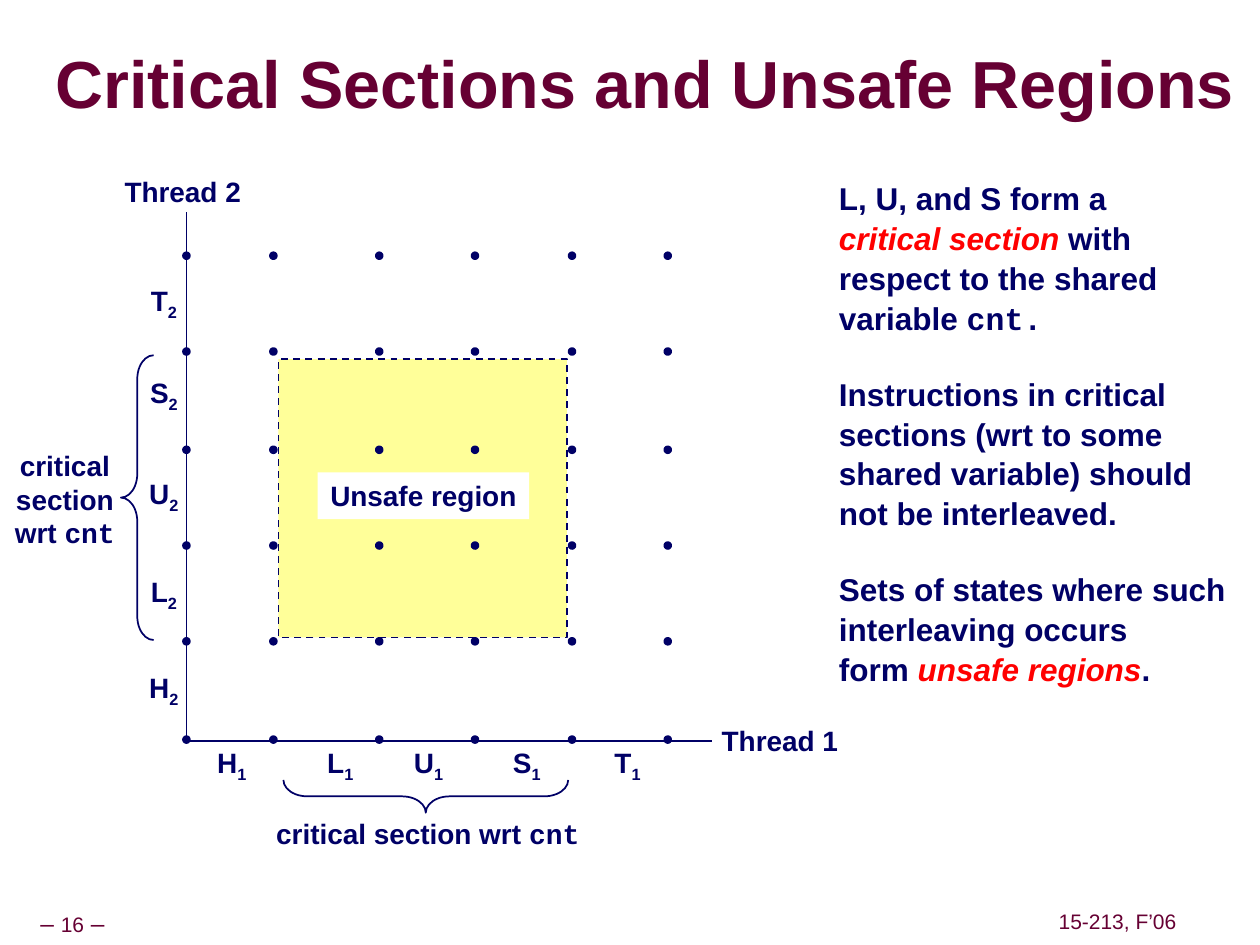
from lxml import etree
from pptx import Presentation
from pptx.dml.color import RGBColor
from pptx.enum.dml import MSO_LINE
from pptx.enum.shapes import MSO_CONNECTOR, MSO_SHAPE
from pptx.enum.text import MSO_ANCHOR, MSO_AUTO_SIZE, PP_ALIGN
from pptx.oxml.ns import qn
from pptx.util import Inches, Pt

NAVY = RGBColor(0x00, 0x00, 0x66)
MAROON = RGBColor(0x66, 0x00, 0x33)
RED = RGBColor(0xFF, 0x00, 0x00)
YELLOW = RGBColor(0xFF, 0xFF, 0x99)
WHITE = RGBColor(0xFF, 0xFF, 0xFF)

LEFT, CENTER = PP_ALIGN.LEFT, PP_ALIGN.CENTER
TOP, MIDDLE = MSO_ANCHOR.TOP, MSO_ANCHOR.MIDDLE
RECTANGLE, OVAL, LEFT_BRACE = MSO_SHAPE.RECTANGLE, MSO_SHAPE.OVAL, MSO_SHAPE.LEFT_BRACE
DASH = MSO_LINE.DASH
STRAIGHT = MSO_CONNECTOR.STRAIGHT

LABEL = {"name": "Arial", "size": Pt(16), "bold": True, "color": NAVY}
BODY = {**LABEL, "size": Pt(18)}
FOOTER = {"name": "Arial", "size": Pt(12), "color": MAROON}
TITLE = {**LABEL, "size": Pt(38), "color": MAROON}
CODE = {"name": "Courier New"}
KEY_TERM = {"color": RED, "italic": True}
SUBSCRIPT = {"baseline": "-25000"}

DOT_COLUMNS = [1.46, 2.15, 2.99, 3.75, 4.52, 5.28]
DOT_ROWS = [2.01, 2.77, 3.55, 4.31, 5.07, 5.85]
THREAD_1_STEPS = {"H": 1.63, "L": 2.49, "U": 3.19, "S": 3.97, "T": 4.77}
THREAD_2_STEPS = {"H": 5.27, "L": 4.51, "U": 3.73, "S": 2.93, "T": 2.2}

CRITICAL_SECTION = [("critical section wrt ", {}), ("cnt", CODE)]
EXPLANATION = [
    [
        [("L, U, and S form a", {})],
        [("critical section ", KEY_TERM), ("with", {})],
        [("respect to the shared", {})],
        [("variable ", {}), ("cnt.", CODE)],
    ],
    [
        [("Instructions in critical", {})],
        [("sections (wrt to some", {})],
        [("shared variable) should", {})],
        [("not be interleaved.", {})],
    ],
    [
        [("Sets of states where such", {})],
        [("interleaving occurs", {})],
        [("form ", {}), ("unsafe regions", KEY_TERM), (".", {})],
    ],
]


class SlideBuilder:
    def __init__(self, slide, line_color):
        self.slide = slide
        self.shapes = slide.shapes
        self.line_color = line_color

    def add_runs(self, paragraph, runs, style):
        for text, changes in runs:
            run = paragraph.add_run()
            run.text = text
            for key, value in {**style, **changes}.items():
                if key == "color":
                    run.font.color.rgb = value
                elif key == "baseline":
                    run._r.get_or_add_rPr().set(key, value)
                else:
                    setattr(run.font, key, value)

    def set_frame(self, shape, margins, anchor=MIDDLE, wrap=False):
        frame = shape.text_frame
        horizontal, vertical = (Inches(margin) for margin in margins)
        values = {
            "margin_left": horizontal, "margin_right": horizontal,
            "margin_top": vertical, "margin_bottom": vertical,
            "vertical_anchor": anchor, "word_wrap": wrap,
            "auto_size": MSO_AUTO_SIZE.NONE,
        }
        for key, value in values.items():
            setattr(frame, key, value)
        return frame

    def title(self, text, box):
        shape = self.shapes.title
        shape.left, shape.top, shape.width, shape.height = map(Inches, box)
        paragraph = self.set_frame(shape, (0, 0), wrap=True).paragraphs[0]
        paragraph.alignment = LEFT
        paragraph.line_spacing = 0.87
        self.add_runs(paragraph, [(text, {})], TITLE)

    def text(self, runs, box, style=LABEL, margins=(0.1, 0.05), wrap=False):
        shape = self.shapes.add_textbox(*map(Inches, box))
        paragraph = self.set_frame(shape, margins, wrap=wrap).paragraphs[0]
        paragraph.alignment = CENTER
        self.add_runs(paragraph, runs, style)
        return shape

    def explanation(self, groups, box):
        shape = self.shapes.add_textbox(*map(Inches, box))
        frame = self.set_frame(shape, (0.1, 0), anchor=TOP)
        paragraph = None
        for group in groups:
            for index, runs in enumerate(group):
                starts_group = paragraph is not None and index == 0
                paragraph = frame.add_paragraph() if paragraph else frame.paragraphs[0]
                paragraph.line_spacing = 1.05
                if starts_group:
                    paragraph.space_before = Pt(21)
                self.add_runs(paragraph, runs, BODY)

    def shape(self, kind, box, fill=None, line_width=1):
        shape = self.shapes.add_shape(kind, *map(Inches, box))
        shape.shadow.inherit = False
        if fill is None:
            shape.fill.background()
        else:
            shape.fill.solid()
            shape.fill.fore_color.rgb = fill
        shape.line.color.rgb = self.line_color
        shape.line.width = Pt(line_width)
        return shape

    def brace(self, box, rotation=0):
        brace = self.shape(LEFT_BRACE, box)
        brace.adjustments[0] = 0.73
        brace.rotation = rotation

    def axis(self, start, end):
        connector = self.shapes.add_connector(STRAIGHT, *map(Inches, start + end))
        connector.line.color.rgb = self.line_color
        connector.line.width = Pt(1)
        etree.SubElement(connector._element.spPr, qn("a:effectLst"))


def main():
    presentation = Presentation()
    presentation.slide_width, presentation.slide_height = Inches(10), Inches(7.5)
    slide = presentation.slides.add_slide(presentation.slide_layouts[5])
    builder = SlideBuilder(slide, NAVY)

    builder.title("Critical Sections and Unsafe Regions", (0.44, 0.27, 9.53, 0.85))
    dash = {"size": Pt(14)}
    builder.text([("– ", dash), ("16", {}), (" –", dash)],
                 (-0.02, 7.17, 1.19, 0.31), FOOTER, (0.05, 0.05))
    builder.text([("15-213, F’06", {})], (8.35, 7.17, 1.04, 0.28), FOOTER, (0.05, 0.05))
    builder.explanation(EXPLANATION, (6.56, 1.41, 3.27, 4.2))

    region = builder.shape(RECTANGLE, (2.21, 2.85, 2.29, 2.21), YELLOW)
    region.line.dash_style = DASH
    origin = (1.48, 5.88)
    builder.axis(origin, (5.65, 5.88))
    builder.axis(origin, (1.48, 1.68))

    for letter, left in THREAD_1_STEPS.items():
        builder.text([(letter, {}), ("1", SUBSCRIPT)], (left, 5.86, 0.42, 0.41))
    for letter, top in THREAD_2_STEPS.items():
        builder.text([(letter, {}), ("2", SUBSCRIPT)], (1.09, top, 0.42, 0.41))
    for top in DOT_ROWS:
        for left in DOT_COLUMNS:
            builder.shape(OVAL, (left, top, 0.04, 0.04), NAVY, 2)

    builder.text([("Thread 1", {})], (5.63, 5.69, 1.12, 0.37))
    builder.text([("Thread 2", {})], (0.89, 1.33, 1.12, 0.37))
    region_label = builder.text([("Unsafe region", {})], (2.52, 3.75, 1.68, 0.37))
    region_label.fill.solid()
    region_label.fill.fore_color.rgb = WHITE

    builder.brace((0.96, 2.82, 0.26, 2.26))
    builder.brace((3.25, 5.19, 0.26, 2.26), rotation=270)
    builder.text(CRITICAL_SECTION, (2.09, 6.43, 2.61, 0.37))
    builder.text(CRITICAL_SECTION, (0, 3.51, 1.03, 0.9), wrap=True)

    presentation.save("out.pptx")


if __name__ == "__main__":
    main()
